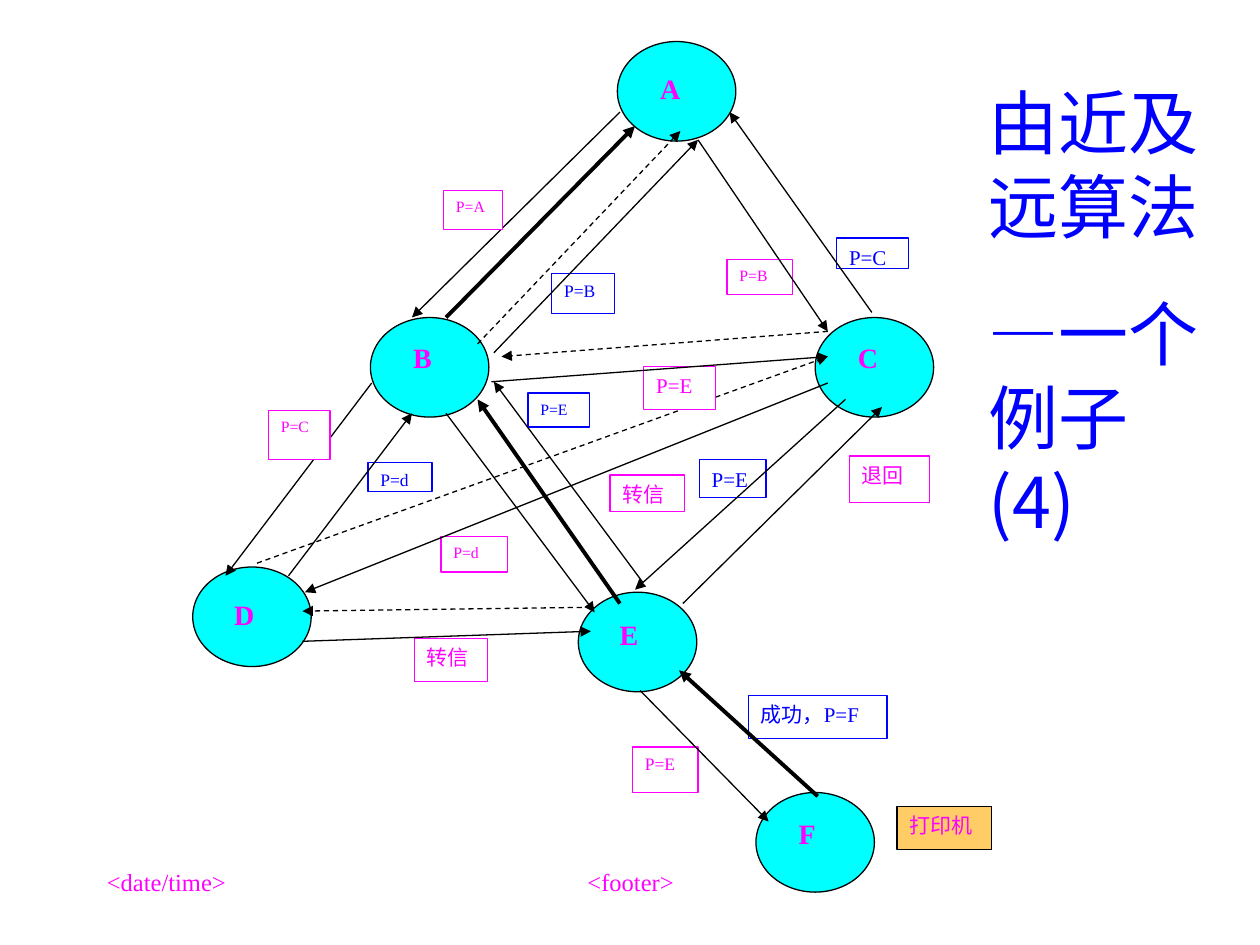
from lxml import etree
from pptx import Presentation
from pptx.dml.color import RGBColor
from pptx.enum.dml import MSO_LINE
from pptx.enum.shapes import MSO_CONNECTOR, MSO_SHAPE
from pptx.enum.text import MSO_ANCHOR, PP_ALIGN
from pptx.oxml.ns import qn
from pptx.util import Inches, Pt

LEFT, CENTER, JUSTIFY = PP_ALIGN.LEFT, PP_ALIGN.CENTER, PP_ALIGN.JUSTIFY
TOP = MSO_ANCHOR.TOP
RECTANGLE, ELLIPSE = MSO_SHAPE.RECTANGLE, MSO_SHAPE.OVAL
STRAIGHT, DASH = MSO_CONNECTOR.STRAIGHT, MSO_LINE.DASH

COLORS = {
    "request": "FF00FF",
    "reply": "0000FF",
    "node": "00FFFF",
    "device": "FFCC66",
    "paper": "FFFFFF",
    "ink": "000000",
}
BODY_FONT = "Times New Roman"
TITLE_FONT = "Noto Sans CJK JP"
THIN, THICK = 0.75, 2.25
NODE_SIZE = (0.94, 0.79)

# letter: ellipse left and top, letter box left, top, width and height
NODES = {
    "F": ((6, 6.29), (6.24, 6.43, 0.41, 0.46)),
    "A": ((4.9, 0.33), (5.14, 0.52, 0.49, 0.41)),
    "B": ((2.94, 2.52), (3.18, 2.65, 0.56, 0.47)),
    "C": ((6.47, 2.52), (6.71, 2.65, 0.49, 0.47)),
    "D": ((1.53, 4.5), (1.76, 4.69, 0.56, 0.4)),
    "E": ((4.59, 4.7), (4.82, 4.85, 0.57, 0.44)),
}

# start, end, arrow style, then the label drawn after it: text, box, size, colour
HOPS = [
    ((4.92, 0.89), (3.27, 2.52), "solid", ("P=A", (3.52, 1.51, 0.47, 0.31), 9, "request")),
    ((3.79, 2.73), (5.4, 1.04), "dashed", ("P=B", (4.38, 2.17, 0.5, 0.32), 10, "reply")),
    ((3.92, 2.8), (5.54, 1.11), "solid", ("P=B", (5.77, 2.06, 0.52, 0.28), 9, "request")),
    ((5.54, 1.11), (6.57, 2.63), "solid", None),
    ((6.57, 2.63), (3.98, 2.83), "dashed", ("P=C", (6.64, 1.89, 0.57, 0.24), 12, "reply")),
    ((6.92, 2.48), (5.79, 0.89), "solid", None),
    ((2.95, 3.04), (1.79, 4.57), "solid", ("P=C", (2.13, 3.26, 0.49, 0.39), 9, "request")),
    ((2.04, 4.47), (6.57, 2.83), "dashed", ("P=d", (2.92, 3.67, 0.51, 0.23), 10, "reply")),
    ((2.29, 4.57), (3.27, 3.28), "solid", None),
    ((3.54, 3.28), (4.72, 4.86), "solid", ("P=d", (3.5, 4.26, 0.53, 0.28), 9, "request")),
    ((4.69, 4.82), (2.4, 4.85), "dashed", ("P=E", (4.19, 3.12, 0.49, 0.27), 9, "reply")),
    ((5.1, 4.62), (3.92, 3.03), "solid", ("P=E", (5.11, 2.91, 0.57, 0.34), 12, "request")),
    ((3.9, 3.03), (6.57, 2.83), "solid", ("P=E", (5.55, 3.65, 0.53, 0.3), 12, "reply")),
    ((6.71, 3.17), (5.04, 4.68), "solid", ("退回", (6.74, 3.62, 0.64, 0.37), 12, "request")),
    ((5.42, 4.79), (7, 3.23), "solid", ("转信", (4.84, 3.77, 0.59, 0.29), 12, "request")),
    ((6.57, 3.04), (2.42, 4.7), "solid", ("转信", (3.29, 5.07, 0.58, 0.34), 12, "request")),
    ((2.4, 5.09), (4.69, 5.01), "solid", ("P=E", (5.02, 5.93, 0.52, 0.36), 10, "request")),
    ((5.08, 5.48), (6.1, 6.52), "solid", ("成功，P=F", (5.94, 5.52, 1.1, 0.34), 12, "reply")),
    ((6.49, 6.32), (5.39, 5.32), "bold", None),
    ((4.92, 4.79), (3.79, 3.17), "bold", None),
    ((3.54, 2.52), (5.04, 1), "bold", None),
]


def rgb(name):
    return RGBColor.from_string(COLORS[name])


class RoutingSlide:
    """Holds the current slide and the look of its elements."""

    def __init__(self, slide):
        self.shapes = slide.shapes

    def fill_text(self, shape, paragraphs, size, color, align=LEFT, bold=False,
                  font=BODY_FONT, gap=0):
        frame = shape.text_frame
        frame.word_wrap = True
        frame.vertical_anchor = TOP
        frame.text = "\n".join(paragraphs)
        for index, paragraph in enumerate(frame.paragraphs):
            paragraph.alignment = align
            if index and gap:
                paragraph.space_before = Pt(gap)
            for run in paragraph.runs:
                run.font.name = font
                run.font.size = Pt(size)
                run.font.bold = bold
                run.font.color.rgb = rgb(color)

    def text(self, box, paragraphs, size, color, **style):
        shape = self.shapes.add_textbox(*map(Inches, box))
        self.fill_text(shape, paragraphs, size, color, **style)

    def outlined(self, kind, box, fill, line):
        shape = self.shapes.add_shape(kind, *map(Inches, box))
        shape.shadow.inherit = False
        shape.fill.solid()
        shape.fill.fore_color.rgb = rgb(fill)
        shape.line.color.rgb = rgb(line)
        shape.line.width = Pt(THIN)
        return shape

    def node(self, letter, corner, letter_box):
        self.outlined(ELLIPSE, corner + NODE_SIZE, "node", "ink")
        self.text(letter_box, [letter], 16, "request", align=JUSTIFY, bold=True)

    def label(self, text, box, size, color, fill="paper", line=None):
        shape = self.outlined(RECTANGLE, box, fill, line or color)
        self.fill_text(shape, [text], size, color, align=JUSTIFY)

    def arrow(self, start, end, style):
        arrow = self.shapes.add_connector(STRAIGHT, *map(Inches, start + end))
        arrow.line.color.rgb = rgb("ink")
        arrow.line.width = Pt(THICK if style == "bold" else THIN)
        if style == "dashed":
            arrow.line.dash_style = DASH
        properties = arrow._element.spPr
        etree.SubElement(properties.find(qn("a:ln")), qn("a:tailEnd"), type="triangle")
        etree.SubElement(properties, qn("a:effectLst"))


def main():
    presentation = Presentation()
    presentation.slide_width = Inches(10)
    presentation.slide_height = Inches(7.5)
    routing = RoutingSlide(presentation.slides.add_slide(presentation.slide_layouts[6]))

    routing.text((3.42, 6.83, 3.17, 0.5), ["<footer>"], 14, "request", align=CENTER)
    routing.text((0.75, 6.83, 2.08, 0.5), ["<date/time>"], 14, "request")

    for letter, (corner, letter_box) in NODES.items():
        routing.node(letter, corner, letter_box)
    routing.label("打印机", (7.12, 6.4, 0.75, 0.34), 12, "request", fill="device", line="ink")

    for start, end, style, label in HOPS:
        routing.arrow(start, end, style)
        if label:
            routing.label(*label)

    routing.text((7.75, 0.58, 1.92, 3.78), ["由近及远算法", "—一个例子(4)"], 40, "reply",
                 font=TITLE_FONT, gap=25)
    presentation.save("out.pptx")


if __name__ == "__main__":
    main()
